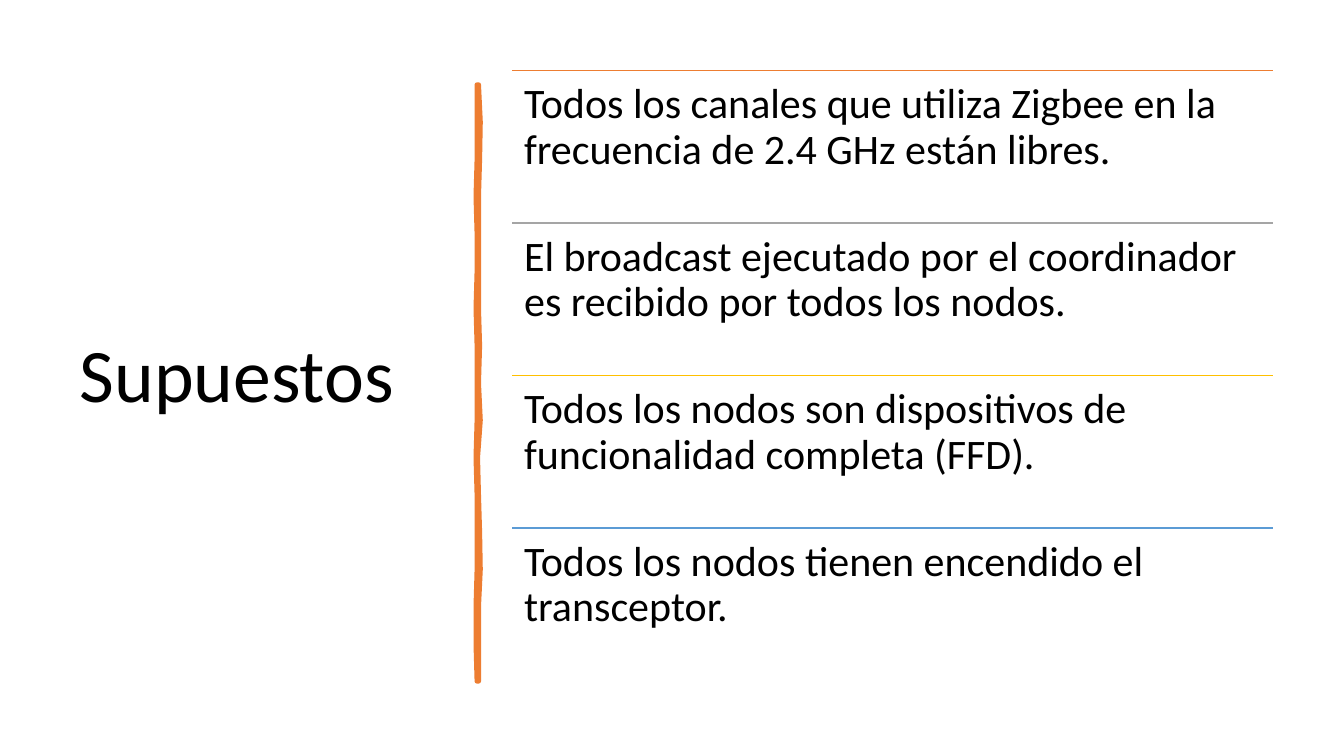
from dataclasses import dataclass

from lxml.etree import SubElement
from pptx import Presentation
from pptx.dml.color import RGBColor
from pptx.enum.shapes import MSO_CONNECTOR as Conn
from pptx.enum.text import MSO_ANCHOR as Anchor, MSO_AUTO_SIZE as AutoSize, PP_ALIGN as Align
from pptx.oxml.ns import qn
from pptx.slide import Slide
from pptx.text.text import TextFrame
from pptx.util import Emu, Inches, Pt

WIDTH, HEIGHT = Inches(13.33), Inches(7.5)
COLORS = {"text": "000000", "orange": "ED7D31", "gray": "A5A5A5",
          "gold": "FFC000", "blue": "5B9BD5"}

# Grid, in percent of the slide's width and height
TOP, ROW = 9.33, 20.17
TITLE_LEFT, TITLE_WIDTH, TITLE_HEIGHT = 5.18, 28.05, 81.47
LIST_LEFT, LIST_WIDTH = 38.1, 56.6
BAR_CENTER, BAR_TOP, BAR_HEIGHT = 35.55, 11.2, 78.93

# Edge offsets of the hand-drawn bar at evenly spaced heights
BAR_RIGHT = [.07, .2, .15, .07, .07, .07, .07, .15, .07,
             .2, 0, .07, .15, .2, .07, .07, .07]
BAR_LEFT = [-.07, -.07, -.07, -.15, -.07, -.07, -.15, -.07, -.07,
            -.07, -.15, -.07, -.07, -.07, -.15, -.15, -.07]


@dataclass
class Assumption:
    text: str
    color: str


ASSUMPTIONS = [
    Assumption("Todos los canales que utiliza Zigbee en la frecuencia de 2.4 GHz están libres.", "orange"),
    Assumption("El broadcast ejecutado por el coordinador es recibido por todos los nodos.", "gray"),
    Assumption("Todos los nodos son dispositivos de funcionalidad completa (FFD).", "gold"),
    Assumption("Todos los nodos tienen encendido el transceptor.", "blue"),
]


def across(percent: float) -> Emu:
    return Emu(round(WIDTH * percent / 100))


def down(percent: float) -> Emu:
    return Emu(round(HEIGHT * percent / 100))


def rgb(name: str) -> RGBColor:
    return RGBColor.from_string(COLORS[name])


def write(tf: TextFrame, text: str, size: int, frame_format: dict) -> None:
    frame_format = {"word_wrap": True, "auto_size": AutoSize.NONE, **frame_format}
    for name, value in frame_format.items():
        setattr(tf, name, value)
    p = tf.paragraphs[0]
    p.alignment, p.line_spacing = Align.LEFT, 0.9
    r = p.add_run()
    r.text = text
    for name, value in {"name": "Calibri", "size": Pt(size)}.items():
        setattr(r.font, name, value)
    r.font.color.rgb = rgb("text")


def add_title(s: Slide) -> None:
    sp = s.shapes.title
    place = {"left": across(TITLE_LEFT), "top": down(TOP),
             "width": across(TITLE_WIDTH), "height": down(TITLE_HEIGHT)}
    for name, value in place.items():
        setattr(sp, name, value)
    write(sp.text_frame, "Supuestos", 54, {"vertical_anchor": Anchor.MIDDLE})


def add_bar(s: Slide) -> None:
    step = BAR_HEIGHT / (len(BAR_RIGHT) - 1)
    right, left = (
        [(across(BAR_CENTER + dx), down(BAR_TOP + i * step)) for i, dx in enumerate(edge)]
        for edge in (BAR_RIGHT, BAR_LEFT))
    builder = s.shapes.build_freeform(*right[0])
    builder.add_line_segments(right[1:] + left[::-1], close=True)
    sp = builder.convert_to_shape()
    sp.shadow.inherit = False
    for fill in (sp.fill, sp.line.fill):
        fill.solid()
        fill.fore_color.rgb = rgb("orange")
    sp.line.width = Pt(3.25)


def add_assumption(s: Slide, row: int, item: Assumption) -> None:
    x, y, width = across(LIST_LEFT), down(TOP + row * ROW), across(LIST_WIDTH)
    rule = s.shapes.add_connector(Conn.STRAIGHT, x, y, x + width, y)
    rule.line.color.rgb = rgb(item.color)
    rule.line.width = Pt(1)
    SubElement(rule._element.spPr, qn("a:effectLst"))
    box = s.shapes.add_textbox(x, y, width, down(ROW))
    sides = ("left", "top", "right", "bottom")
    write(box.text_frame, item.text, 30, {f"margin_{side}": Inches(0.12) for side in sides})


def main() -> None:
    prs = Presentation()
    prs.slide_width, prs.slide_height = WIDTH, HEIGHT
    s = prs.slides.add_slide(prs.slide_layouts.get_by_name("Title Only"))
    # Title and divider
    add_title(s)
    add_bar(s)
    # List of assumptions
    for row, item in enumerate(ASSUMPTIONS):
        add_assumption(s, row, item)
    prs.save("out.pptx")


if __name__ == "__main__":
    main()
